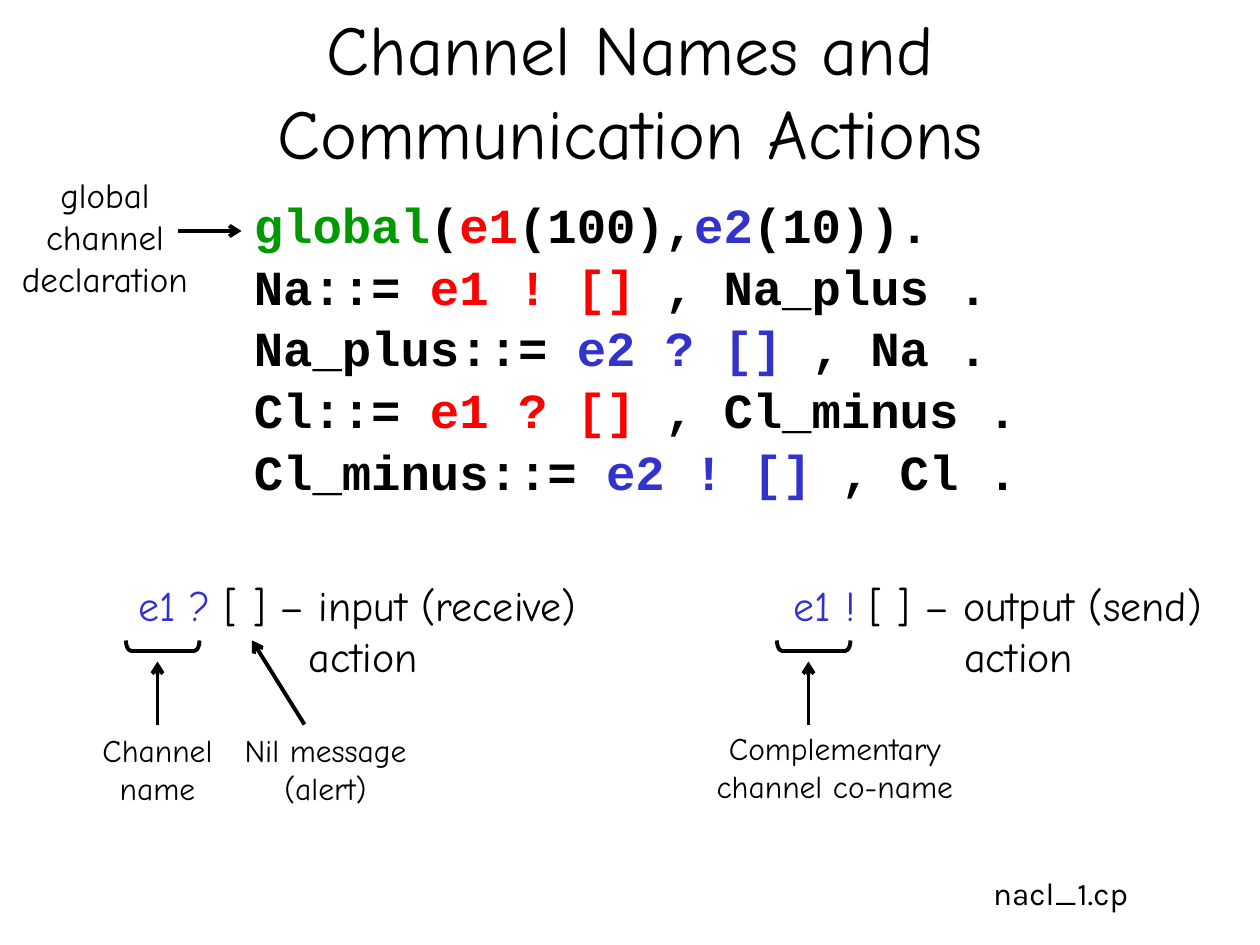
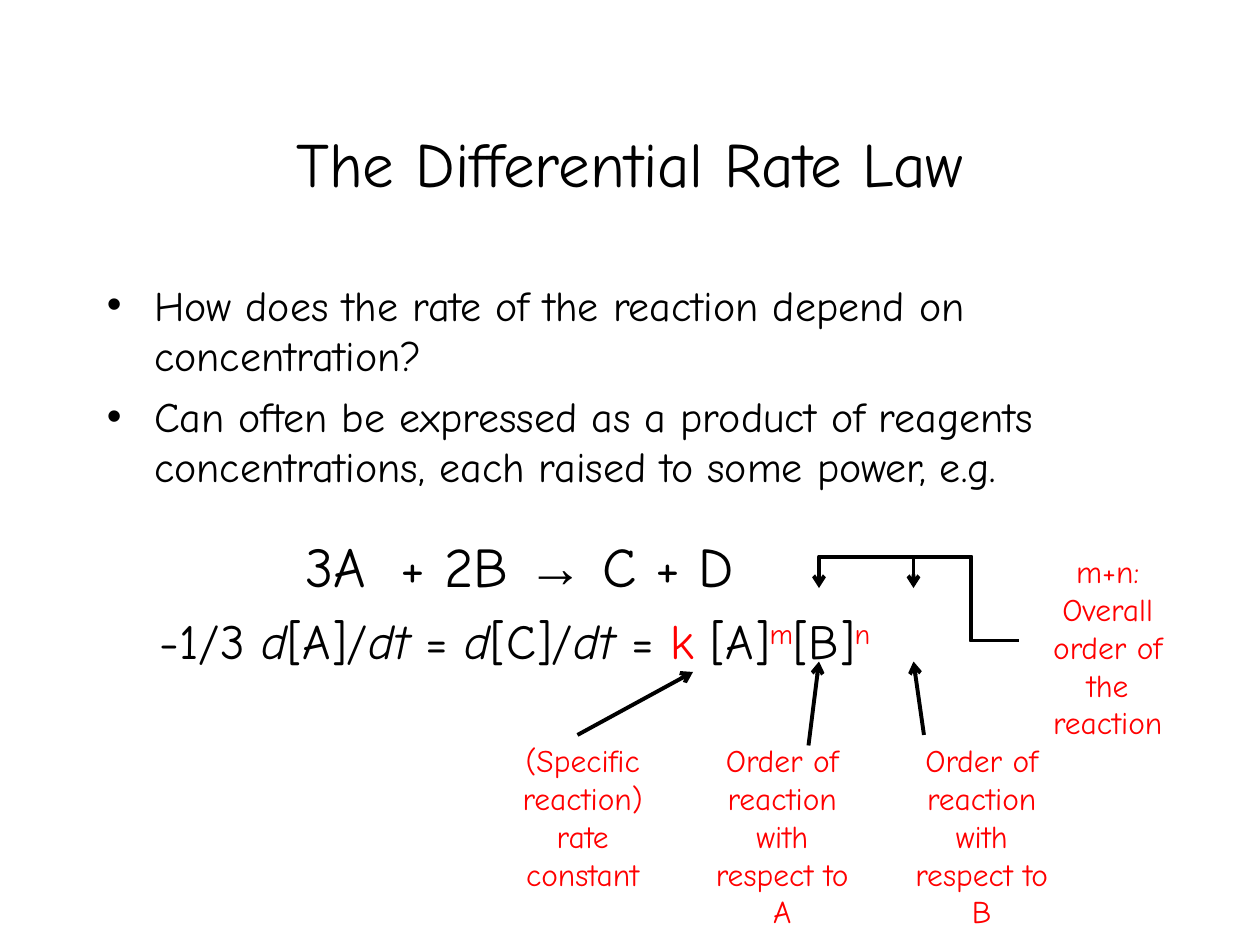
from dataclasses import dataclass, field

from lxml.etree import SubElement
from pptx import Presentation
from pptx.dml.color import RGBColor
from pptx.enum.shapes import MSO_CONNECTOR as CONN, MSO_SHAPE as SHAPE
from pptx.enum.text import MSO_ANCHOR as ANCHOR, MSO_AUTO_SIZE as AUTOSIZE, PP_ALIGN as ALIGN
from pptx.oxml.ns import qn
from pptx.util import Pt

BLACK, RED, BLUE, GREEN = "000000", "FF0000", "3333CC", "009900"
HAND, CODE, FILE = "Comic Neue", "Courier New", "Karla"
TOP, MID = ANCHOR.TOP, ANCHOR.MIDDLE
LINE_WIDTH = 2.25


@dataclass
class Run:
    """A stretch of text with its own colour and format."""
    text: str
    color: str = BLACK
    fmt: dict = field(default_factory=dict)
    attrs: dict = field(default_factory=dict)


@dataclass
class Para:
    """A paragraph of runs with spacing and indent in points."""
    runs: list
    size: float = 18
    before: float = 0
    left: float = 0
    bullet: bool = False
    spacing: float = 1.0


@dataclass
class Box:
    """A text box: left, top, width, height in points and its paragraphs."""
    at: tuple
    paras: list
    font: str = HAND
    anchor: ANCHOR = TOP
    align: ALIGN = ALIGN.CENTER


@dataclass
class Arrow:
    """A straight arrow from start to end in points."""
    start: tuple
    end: tuple


def rgb(color: str) -> RGBColor:
    """Turn a hex string into a colour."""
    return RGBColor.from_string(color)


def apply(obj, fmt: dict) -> None:
    """Set each attribute of obj named in fmt."""
    for name, value in fmt.items():
        setattr(obj, name, value)


def set_bullet(p, hang: float) -> None:
    """Give a paragraph a round bullet and a hanging indent."""
    pPr = p._p.get_or_add_pPr()
    pPr.set("marL", str(Pt(hang)))
    pPr.set("indent", str(-Pt(hang)))
    SubElement(pPr, qn("a:buFont")).set("typeface", "Arial")
    SubElement(pPr, qn("a:buChar")).set("char", "•")


def add_para(p, para: Para, font: str, align: ALIGN) -> None:
    """Fill one paragraph with its runs."""
    apply(p, {"alignment": align, "space_before": Pt(para.before), "line_spacing": para.spacing})
    if para.bullet:
        set_bullet(p, para.left)
    elif para.left:
        p._p.get_or_add_pPr().set("marL", str(Pt(para.left)))
    for run in para.runs:
        r = p.add_run()
        r.text = run.text
        apply(r.font, {"name": font, "size": Pt(para.size), **run.fmt})
        r.font.color.rgb = rgb(run.color)
        for name, value in run.attrs.items():
            r._r.get_or_add_rPr().set(name, value)


def fill_text(sp, box: Box) -> None:
    """Write the paragraphs of a box into a shape."""
    tf = sp.text_frame
    apply(tf, {"word_wrap": True, "auto_size": AUTOSIZE.NONE, "vertical_anchor": box.anchor})
    for i, para in enumerate(box.paras):
        p = tf.add_paragraph() if i else tf.paragraphs[0]
        add_para(p, para, box.font, box.align)


def add_box(s, box: Box) -> None:
    """Add a text box."""
    fill_text(s.shapes.add_textbox(*map(Pt, box.at)), box)


def add_label(s, at: tuple, text: str, color: str = BLACK, size: float = 18,
              anchor: ANCHOR = TOP, font: str = HAND) -> None:
    """Add a centred one-paragraph label."""
    add_box(s, Box(at, [Para([Run(text, color)], size)], font, anchor))


def add_titled_slide(prs, title: str, top: float, size: float):
    """Add a title-only slide with its title placed and formatted."""
    s = prs.slides.add_slide(prs.slide_layouts[5])
    sp = s.shapes.title
    apply(sp, {"left": Pt(54), "top": Pt(top), "width": Pt(612), "height": Pt(90)})
    fill_text(sp, Box((), [Para([Run(title)], size)], anchor=MID))
    return s


def style_line(sp) -> None:
    """Give a shape or connector the black line."""
    sp.line.color.rgb = rgb(BLACK)
    sp.line.width = Pt(LINE_WIDTH)


def add_connector(s, kind: CONN, start: tuple, end: tuple):
    """Add a black connector without shadow and with an arrow at its end."""
    c = s.shapes.add_connector(kind, *map(Pt, start + end))
    style_line(c)
    SubElement(c.line._get_or_add_ln(), qn("a:tailEnd")).set("type", "arrow")
    SubElement(c._element.spPr, qn("a:effectLst"))
    return c


def add_arrows(s, arrows: list) -> None:
    """Add straight arrows."""
    for arrow in arrows:
        add_connector(s, CONN.STRAIGHT, arrow.start, arrow.end)


def add_hook(s, tip: tuple, origin: tuple, turn: float, rise: float) -> None:
    """Add an elbow arrow that leaves origin, rises and comes down on tip."""
    c = add_connector(s, CONN.ELBOW, tip, origin)
    spPr = c._element.spPr
    spPr.find(qn("a:xfrm")).set("rot", "10800000")
    geom = spPr.find(qn("a:prstGeom"))
    geom.set("prst", "bentConnector4")
    av = geom.find(qn("a:avLst"))
    if av is None:
        av = SubElement(geom, qn("a:avLst"))
    for i, part in enumerate((turn, rise), 1):
        gd = SubElement(av, qn("a:gd"))
        gd.set("name", f"adj{i}")
        gd.set("fmla", f"val {round(part * 100000)}")


def add_bracket(s, center: float) -> None:
    """Add a bracket that opens upwards under a channel name."""
    sp = s.shapes.add_shape(SHAPE.LEFT_BRACKET, Pt(center), Pt(348), Pt(6), Pt(42))
    sp.rotation = 270
    sp.adjustments[0] = 0.5
    sp.shadow.inherit = False
    sp.fill.background()
    style_line(sp)


def add_action(s, left: float, channel: str, meaning: str, indent: float) -> None:
    """Add a communication action with its bracket and arrow."""
    paras = [Para([Run(channel, BLUE), Run(f" [ ] – {meaning}")], 24),
             Para([Run("action")], 24, left=indent)]
    add_box(s, Box((left, 312, 276, 96), paras, anchor=MID))
    add_bracket(s, left + 24 if left < 360 else left + 30)


def build_channels(prs) -> None:
    """Build the slide on channel names and communication actions."""
    s = add_titled_slide(prs, "Channel Names and Communication Actions", 6, 40)
    lines = [
        [("global", GREEN), ("(", BLACK), ("e1", RED), ("(100),", BLACK),
         ("e2", BLUE), ("(10)).", BLACK)],
        [("Na::= ", BLACK), ("e1 ! []", RED), (" , Na_plus .", BLACK)],
        [("Na_plus::= ", BLACK), ("e2 ? []", BLUE), (" , Na .", BLACK)],
        [("Cl::= ", BLACK), ("e1 ? []", RED), (" , Cl_minus .", BLACK)],
        [("Cl_minus::= ", BLACK), ("e2 ! []", BLUE), (" , Cl .", BLACK)],
    ]
    paras = [Para([Run(text, color, {"bold": True}) for text, color in line],
                  28, before=8.4 if i else 0, spacing=0.8)
             for i, line in enumerate(lines)]
    add_box(s, Box((138, 114, 468, 186), paras, CODE, align=ALIGN.LEFT))
    add_label(s, (510, 492, 192, 36), "nacl_1.cp", anchor=MID, font=FILE)
    add_action(s, 66, "e1 ?", "input (receive)", 7)
    add_action(s, 432, "e1 !", "output (send)", 24)
    add_label(s, (36, 414, 108, 96), "Channel name")
    add_label(s, (132, 414, 108, 96), "Nil message (alert)")
    add_label(s, (396, 390, 162, 96), "Complementary channel co-name", anchor=MID)
    add_label(s, (0, 78, 120, 114), "global channel declaration", size=20, anchor=MID)
    add_arrows(s, [Arrow((90, 414), (90, 378)), Arrow((462, 414), (462, 378)),
                   Arrow((174, 414), (144, 366)), Arrow((102, 132), (138, 132))])


def build_rate_law(prs) -> None:
    """Build the slide on the differential rate law."""
    s = add_titled_slide(prs, "The Differential Rate Law", 48, 36)
    points = ["How does the rate of the reaction depend on concentration?",
              "Can often be expressed as a product of reagents concentrations, "
              "each raised to some power, e.g."]
    paras = [Para([Run(text)], 24, before=6 if i else 0, left=27, bullet=True)
             for i, text in enumerate(points)]
    add_box(s, Box((54, 156, 612, 132), paras, align=ALIGN.LEFT))

    italic, power = {"italic": True}, {"baseline": "30000"}
    reaction = [Run("3A"), Run(" ", attrs={"spc": "900"}), Run("+ 2B "),
                Run("→", fmt={"name": "Arial"}), Run(" C + D")]
    rate = [Run("-1/3 "), Run("d", fmt=italic), Run("[A]/"), Run("dt", fmt=italic),
            Run(" = "), Run("d", fmt=italic), Run("[C]/"), Run("dt", fmt=italic),
            Run(" = "), Run("k", RED), Run(" [A]"), Run("m", RED, attrs=power),
            Run("[B]"), Run("n ", RED, attrs=power)]
    add_box(s, Box((-30, 300, 654, 114), [Para(reaction, 32), Para(rate, 28, before=7)]))

    notes = ["(Specific reaction) rate constant", "Order of reaction with respect to A",
             "Order of reaction with respect to B"]
    for i, text in enumerate(notes):
        add_label(s, (282 + 114 * i, 420, 102, 108), text, RED)
    add_label(s, (582, 312, 102, 108), "m+n: Overall order of the reaction", RED)
    add_arrows(s, [Arrow((330, 420), (396, 384)), Arrow((528, 420), (522, 378)),
                   Arrow((462, 426), (468, 378))])
    for tip, turn in ((468, 0.24), (522, 0.45)):
        add_hook(s, (tip, 336), (582, 366), turn, 1.6)


def main() -> None:
    """Build and save the presentation."""
    prs = Presentation()
    apply(prs, {"slide_width": Pt(720), "slide_height": Pt(540)})
    build_channels(prs)
    build_rate_law(prs)
    prs.save("out.pptx")


if __name__ == "__main__":
    main()
